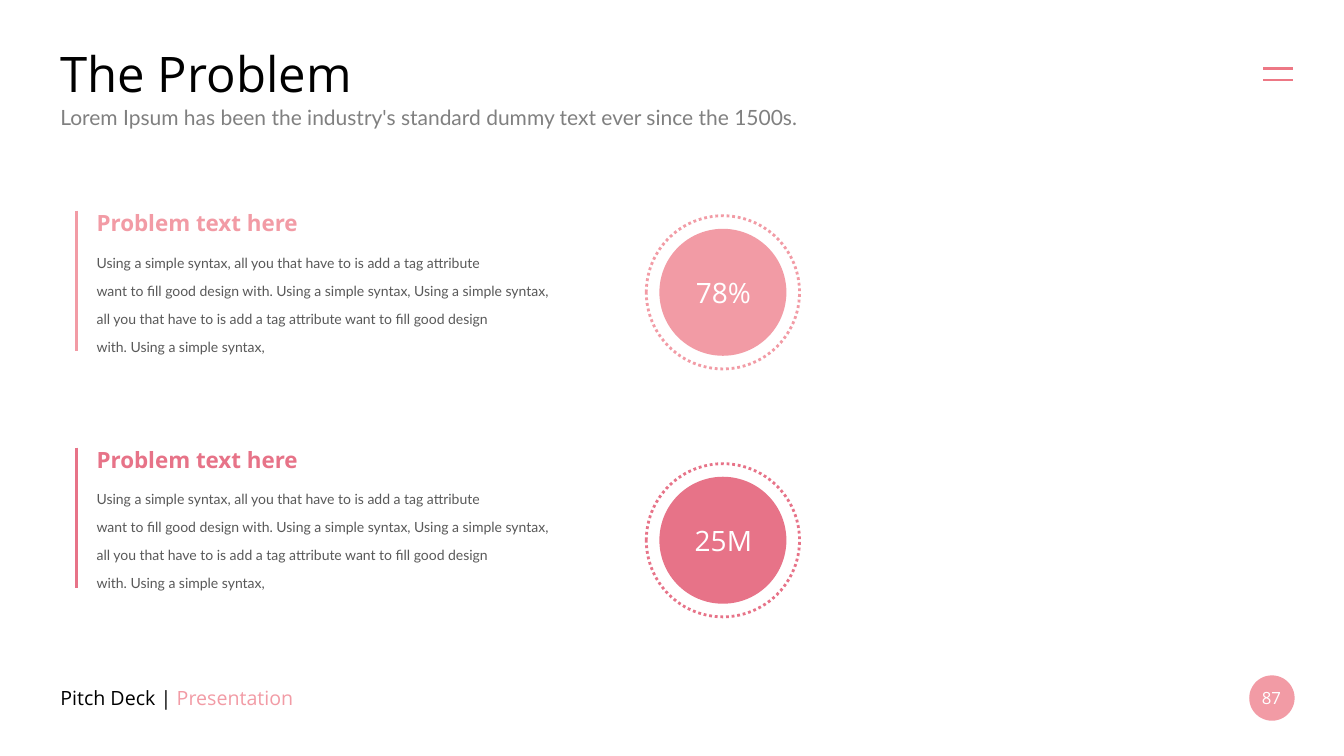
import pptx
import pptx.dml.color
import pptx.enum.dml
import pptx.enum.shapes
import pptx.enum.text
import pptx.oxml
import pptx.util

COLOURS = {
    "white": "FFFFFF",
    "black": "000000",
    "light_pink": "F29BA5",
    "deep_pink": "E77388",
    "menu_pink": "ED7885",
    "body_grey": "595959",
    "subtitle_grey": "808080",
}
HEADING_FONT = "Open Sans"
BODY_FONT = "Lato"
EMU_PER_PX = 9144
ANCHOR = pptx.enum.text.MSO_ANCHOR
ALIGN = pptx.enum.text.PP_ALIGN

BODY_LINES = [
    "Using a simple syntax, all you that have to is add a tag attribute",
    "want to fill good design with. Using a simple syntax, Using a simple syntax, "
    "all you that have to is add a tag attribute want to fill good design",
    "with. Using a simple syntax,",
]


def px(length):
    return pptx.util.Emu(length * EMU_PER_PX)


def colour(name):
    return pptx.dml.color.RGBColor.from_string(COLOURS[name])


class ProblemSlide:
    def __init__(self, deck):
        self.page = deck.slides.add_slide(deck.slide_layouts[5])
        self.page.background.fill.solid()
        self.page.background.fill.fore_color.rgb = colour("white")

    def fill_frame(self, frame, paragraphs, size, font, anchor, align=ALIGN.LEFT,
                   bold=False, spacing=None):
        frame.word_wrap = True
        frame.auto_size = pptx.enum.text.MSO_AUTO_SIZE.NONE
        frame.vertical_anchor = anchor
        for index, runs in enumerate(paragraphs):
            para = frame.add_paragraph() if index else frame.paragraphs[0]
            para.alignment = align
            if spacing:
                para.line_spacing = pptx.util.Pt(spacing)
            for words, shade in runs:
                span = para.add_run()
                span.text = words
                span.font.size = pptx.util.Pt(size)
                span.font.name = font
                span.font.bold = bold
                span.font.color.rgb = colour(shade)

    def title(self, words, left, top, width, height):
        box = self.page.shapes.title
        box.left, box.top, box.width, box.height = map(px, (left, top, width, height))
        self.fill_frame(box.text_frame, [[(words, "black")]], 35, HEADING_FONT, ANCHOR.MIDDLE)

    def text(self, paragraphs, left, top, width, height, size, font=HEADING_FONT,
             anchor=ANCHOR.MIDDLE, **style):
        box = self.page.shapes.add_textbox(*map(px, (left, top, width, height)))
        self.fill_frame(box.text_frame, paragraphs, size, font, anchor, **style)

    def circle(self, centre_x, centre_y, diameter, shade, dotted=False):
        left = centre_x - diameter // 2
        top = centre_y - diameter // 2
        disc = self.page.shapes.add_shape(
            pptx.enum.shapes.MSO_SHAPE.OVAL, *map(px, (left, top, diameter, diameter)))
        disc.shadow.inherit = False
        if dotted:
            disc.fill.background()
            disc.line.color.rgb = colour(shade)
            disc.line.width = pptx.util.Pt(2)
            disc.line.dash_style = pptx.enum.dml.MSO_LINE.ROUND_DOT
        else:
            disc.fill.solid()
            disc.fill.fore_color.rgb = colour(shade)
            disc.line.fill.background()

    def line(self, left, top, right, bottom, shade, width):
        rule = self.page.shapes.add_connector(
            pptx.enum.shapes.MSO_CONNECTOR.STRAIGHT, *map(px, (left, top, right, bottom)))
        rule.line.color.rgb = colour(shade)
        rule.line.width = pptx.util.Pt(width)
        properties = rule._element.spPr
        properties.append(pptx.oxml.parse_xml(
            '<a:effectLst xmlns:a="http://schemas.openxmlformats.org/drawingml/2006/main"/>'))

    def problem(self, top, centre_y, heading, figure, shade):
        self.text([[(heading, shade)]], 86, top, 479, 37, 16, bold=True)
        self.text([[(words, "body_grey")] for words in BODY_LINES], 86, top + 34, 479, 118,
                  10, BODY_FONT, ANCHOR.TOP, spacing=20)
        self.line(76, top + 7, 76, top + 146, shade, 2)
        self.circle(717, centre_y, 126, shade)
        self.circle(717, centre_y, 152, shade, dotted=True)
        self.text([[(figure, "white")]], 677, centre_y - 22, 81, 44, 20, align=ALIGN.CENTER)


def main():
    deck = pptx.Presentation()
    deck.slide_width, deck.slide_height = px(1333), px(750)
    slide = ProblemSlide(deck)
    slide.title("The Problem", 50, 39, 1233, 66)
    slide.text(
        [[("Lorem Ipsum has been the industry's standard dummy text ever since the 1500s.",
           "subtitle_grey")]],
        50, 99, 1233, 35, 15, BODY_FONT, ANCHOR.TOP)
    for menu_y in (68, 79):
        slide.line(1253, menu_y, 1282, menu_y, "menu_pink", 1.5)

    slide.problem(202, 290, "Problem text here", "78%", "light_pink")
    slide.problem(437, 536, "Problem text here", "25M", "deep_pink")

    slide.text([[("Pitch Deck | ", "black"), ("Presentation", "light_pink")]],
               50, 672, 329, 40, 14)
    slide.circle(1261, 692, 45, "light_pink")
    slide.text([[("87", "white")]], 1234, 681, 54, 22, 12, align=ALIGN.CENTER)
    deck.save("out.pptx")


if __name__ == "__main__":
    main()
